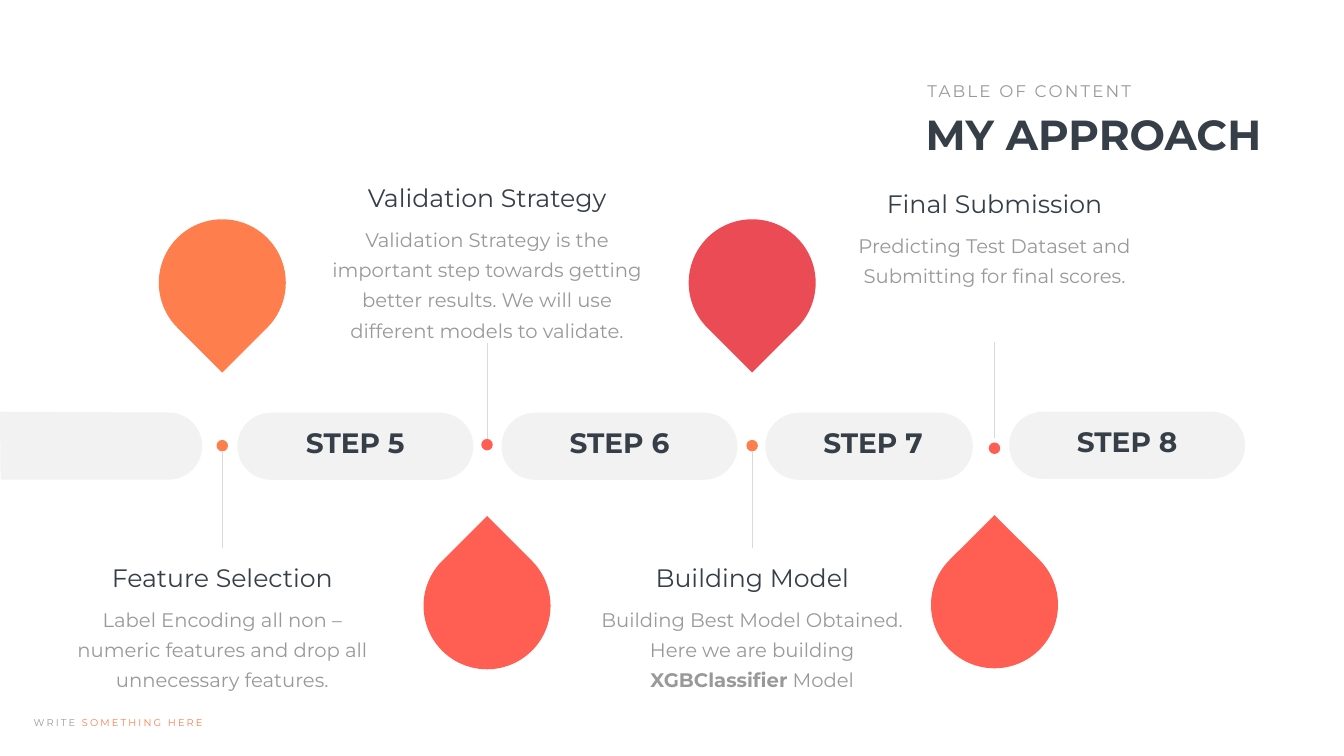
from dataclasses import dataclass
from math import cos, pi, sin

from lxml.etree import SubElement
from pptx import Presentation
from pptx.dml.color import RGBColor
from pptx.enum.shapes import MSO_CONNECTOR, MSO_SHAPE as Shp
from pptx.enum.text import MSO_ANCHOR, MSO_AUTO_SIZE, PP_ALIGN as Align
from pptx.oxml.ns import qn
from pptx.util import Cm, Pt


@dataclass(frozen=True)
class Theme:
    """Colours, font and type sizes."""
    font: str = "Montserrat"
    white: str = "FFFFFF"
    dark: str = "363E48"
    grey: str = "999999"
    pill: str = "F2F2F2"
    rule: str = "D9D9D9"
    orange: str = "FE7E4E"
    coral: str = "FE5F52"
    red: str = "EA4B54"
    title: int = 60
    label: int = 40
    heading: int = 36
    body: int = 28
    overline: int = 24
    footer: int = 14


T = Theme()


@dataclass(frozen=True)
class Run:
    """A piece of text with its own weight or colour."""
    text: str
    bold: bool = False
    color: str | None = None


@dataclass(frozen=True)
class Step:
    """One timeline step; lengths are in centimetres."""
    label: str
    heading: str
    body: tuple[Run, ...]
    axis_x: float
    pill_x: float
    pill_w: float
    dot_y: float
    heading_y: float
    body_h: float
    drop_color: str
    drop_above: bool
    shift_y: float = 0
    label_dx: float = 0


STEPS = (
    Step("STEP 5", "Feature Selection",
         (Run("Label Encoding all non – numeric features and drop all unnecessary features."),),
         11.2, 11.96, 11.89, 22.17, 28.22, 5.08, T.orange, True),
    Step("STEP 6", "Validation Strategy",
         (Run("Validation Strategy is the important step towards getting better results. "
              "We will use different models to validate."),),
         24.54, 25.27, 11.89, 22.12, 9.07, 6.6, T.coral, False),
    Step("STEP 7", "Building Model",
         (Run("Building Best Model Obtained. Here we are building "),
          Run("XGBClassifier", bold=True), Run(" Model")),
         37.9, 38.56, 10.46, 22.17, 28.22, 5.08, T.red, True, label_dx=0.2),
    Step("STEP 8", "Final Submission",
         (Run("Predicting Test Dataset and Submitting for final scores."),),
         50.11, 50.85, 11.89, 22.3, 9.35, 3.53, T.coral, False, shift_y=-0.05),
)

PILL_Y, PILL_H = 20.8, 3.38
LABEL_W, HEADING_W, BODY_W = 7.67, 14.4, 17.02
HEADING_H = 1.8
DROP, DOT, STEM = 6.4, 0.58, 4.85


def rgb(color: str) -> RGBColor:
    """Turn a hex string into a colour."""
    return RGBColor.from_string(color)


def write(sp, runs, *, size, color, bold=False, align=Align.LEFT, spacing=0,
          leading=None, wrap=True, inset=None):
    """Fill a text shape with one formatted paragraph."""
    tf = sp.text_frame
    tf.word_wrap = wrap
    tf.auto_size = MSO_AUTO_SIZE.SHAPE_TO_FIT_TEXT
    tf.vertical_anchor = MSO_ANCHOR.TOP
    if inset:
        tf.margin_left = tf.margin_right = Cm(inset[0])
        tf.margin_top = tf.margin_bottom = Cm(inset[1])
    p = tf.paragraphs[0]
    p.alignment = align
    p.line_spacing = Pt(leading) if leading else 1.0
    for run in (Run(runs),) if isinstance(runs, str) else runs:
        r = p.add_run()
        r.text = run.text
        r.font.name, r.font.size = T.font, Pt(size)
        r.font.bold = bold or run.bold
        r.font.color.rgb = rgb(run.color or color)
        if spacing:
            r.font._element.set("spc", str(spacing * 100))


def add_text(slide, x, y, w, h, runs, **fmt):
    """Add a text box."""
    sp = slide.shapes.add_textbox(Cm(x), Cm(y), Cm(w), Cm(h))
    write(sp, runs, **fmt)


def paint(sp, color: str):
    """Give a shape a flat fill without outline or shadow."""
    sp.shadow.inherit = False
    sp.fill.solid()
    sp.fill.fore_color.rgb = rgb(color)
    sp.line.fill.background()


def add_shape(slide, kind, x, y, w, h, color, rotation=0):
    """Add a flat preset shape."""
    sp = slide.shapes.add_shape(kind, Cm(x), Cm(y), Cm(w), Cm(h))
    sp.rotation = rotation
    paint(sp, color)
    return sp


def add_stem(slide, x, y):
    """Add a thin vertical line downwards from a point."""
    line = slide.shapes.add_connector(MSO_CONNECTOR.STRAIGHT, Cm(x), Cm(y), Cm(x), Cm(y + STEM))
    line.line.color.rgb = rgb(T.rule)
    line.line.width = Pt(1)
    SubElement(line._element.spPr, qn("a:effectLst"))


def add_lead_in(slide):
    """Add the bar that enters from the left edge and ends in a half circle."""
    radius, cx, cy, n = 1.69, 8.5, 22.48, 32
    arc = [(cx + radius * sin(pi * i / n), cy - radius * cos(pi * i / n)) for i in range(n + 1)]
    fb = slide.shapes.build_freeform(Cm(0), Cm(20.75))
    fb.add_line_segments([(Cm(x), Cm(y)) for x, y in [*arc, (0.03, cy + radius)]], close=True)
    paint(fb.convert_to_shape(), T.pill)


def add_step(slide, s: Step):
    """Draw a step: pill, label, dot, stem, drop and description."""
    pill_y = PILL_Y + s.shift_y
    pill = add_shape(slide, Shp.ROUNDED_RECTANGLE, s.pill_x, pill_y, s.pill_w, PILL_H, T.pill)
    pill.adjustments[0] = 0.5
    label_x = s.pill_x + (s.pill_w - LABEL_W) / 2 + s.label_dx
    add_text(slide, label_x, pill_y + 0.53, LABEL_W, 1.96, s.label,
             size=T.label, color=T.dark, bold=True, align=Align.CENTER)

    drop_y, turn, stem_y, dot_color = (
        (11.05, 135, 22.76, T.orange) if s.drop_above else (27.33, 315, 17.28, T.coral))
    add_shape(slide, Shp.TEAR, s.axis_x - DROP / 2, drop_y + s.shift_y, DROP, DROP,
              s.drop_color, turn)
    add_stem(slide, s.axis_x, stem_y + s.shift_y)
    add_shape(slide, Shp.OVAL, s.axis_x - DOT / 2, s.dot_y, DOT, DOT, dot_color)

    add_text(slide, s.axis_x - HEADING_W / 2, s.heading_y, HEADING_W, HEADING_H, s.heading,
             size=T.heading, color=T.dark, align=Align.CENTER)
    add_text(slide, s.axis_x - BODY_W / 2, s.heading_y + HEADING_H, BODY_W, s.body_h, s.body,
             size=T.body, color=T.grey, align=Align.CENTER, leading=43, inset=(0.61, 0.3))


def main():
    """Build and save the slide."""
    prs = Presentation()
    prs.slide_width, prs.slide_height = Cm(67.72), Cm(38.1)
    slide = prs.slides.add_slide(prs.slide_layouts[5])
    slide.background.fill.solid()
    slide.background.fill.fore_color.rgb = rgb(T.white)

    title = slide.shapes.title
    title.left, title.top, title.width, title.height = Cm(46.38), Cm(5.33), Cm(18.44), Cm(2.82)
    write(title, "MY APPROACH", size=T.title, color=T.dark, bold=True)
    add_text(slide, 46.48, 3.94, 11.02, 1.27, "TABLE OF CONTENT",
             size=T.overline, color=T.grey, spacing=3, wrap=False)

    add_lead_in(slide)
    for step in STEPS:
        add_step(slide, step)

    add_text(slide, 1.45, 36.02, 9.17, 0.86,
             (Run("WRITE "), Run("SOMETHING HERE", color=T.orange)),
             size=T.footer, color=T.grey, spacing=3, wrap=False)
    prs.save("out.pptx")


main()
